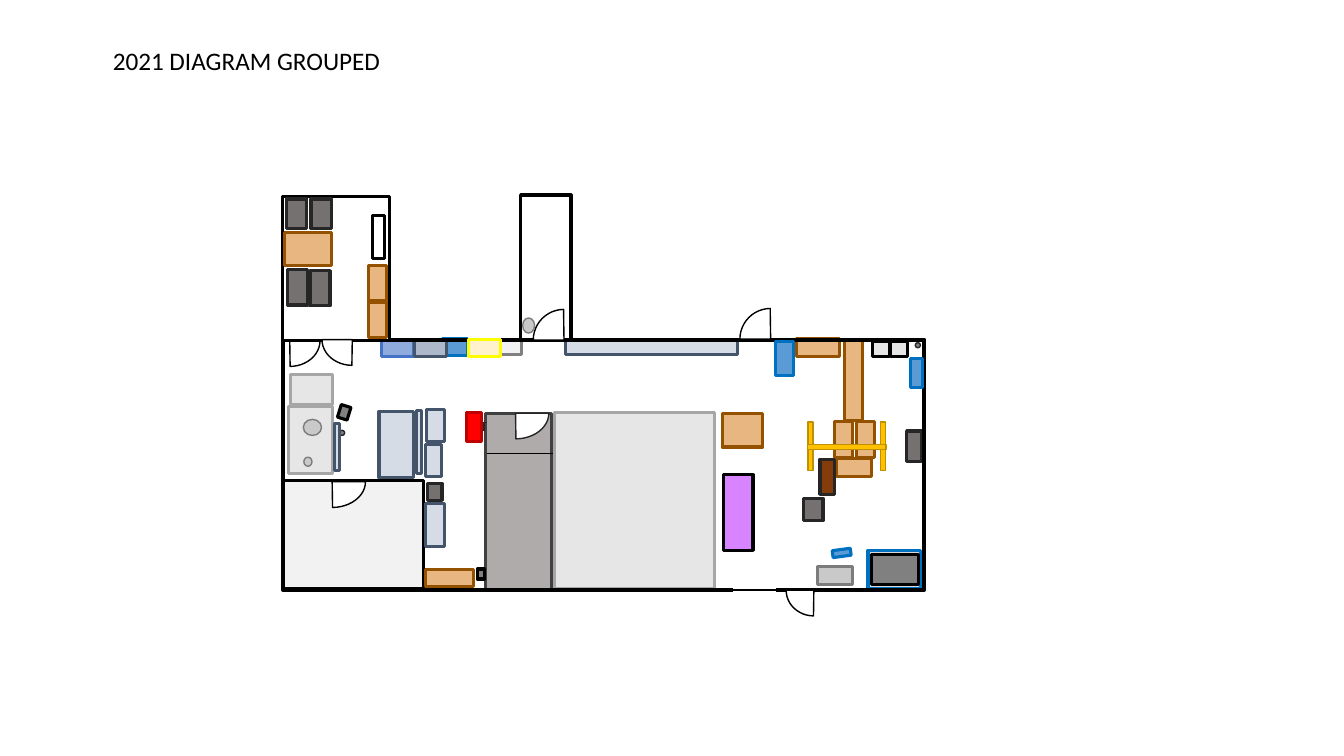
"""Build the 2021 workshop floor plan slide."""
from dataclasses import dataclass
from typing import Optional

from lxml.etree import SubElement
from pptx import Presentation
from pptx.dml.color import RGBColor
from pptx.enum.shapes import MSO_CONNECTOR as Connector, MSO_SHAPE as Form
from pptx.enum.text import MSO_ANCHOR as Anchor, MSO_AUTO_SIZE as AutoSize, PP_ALIGN as Align
from pptx.oxml.ns import qn
from pptx.util import Pt


@dataclass(frozen=True)
class Finish:
    """Fill, outline and outer form of a kind of item."""
    fill: Optional[str]
    line: str
    weight: float = 2.25
    form: Form = Form.RECTANGLE


@dataclass(frozen=True)
class Item:
    """One item on the plan, framed before its turn."""
    finish: Finish
    left: float
    top: float
    width: float
    height: float
    turn: float = 270
    flip: str = ""


@dataclass(frozen=True)
class Stroke:
    """One straight line on the plan."""
    x1: float
    y1: float
    x2: float
    y2: float
    color: str
    weight: float = 1


ROOM = Finish("FFFFFF", "000000")
OFFICE = Finish("F2F2F2", "000000")
STORE = Finish("AFABAB", "404040")
PALE = Finish("E7E6E6", "A6A6A6")
WOOD = Finish("E8B680", "945200")
STEEL = Finish("D6DCE5", "44546A")
DARK_STEEL = Finish("ADB9CA", "44546A")
PERIWINKLE = Finish("8FAADC", "4472C4")
WHITE_UNIT = Finish("F2F2F2", "808080")
BLUE = Finish("5B9BD5", "0070C0")
SILVER = Finish("C9C9C9", "7C7C7C")
PURPLE = Finish("D883FF", "000000")
BIN = Finish("E7E6E6", "000000")
SEAT = Finish("767171", "262626")
BLUE_BASE = Finish("D9D9D9", "0070C0")
MACHINE = Finish("808080", "000000")
OUTER_WALL = Finish(None, "000000", 3)
FRAME = Finish(None, "000000")
HOIST = Finish("FFC000", "BF9000", 1)
BROWN = Finish("843C0B", "262626")
RED = Finish("FF0000", "C00000")
YELLOW = Finish("FFF2CC", "FFFF00")
DOOR = Finish("FFFFFF", "000000", 1, Form.PIE)
STORE_DOOR = Finish("FFFFFF", "262626", 1, Form.PIE)
KNOB = Finish("808080", "262626", 1, Form.OVAL)
BASIN = Finish("C9C9C9", "7C7C7C", 1, Form.OVAL)

DOOR_START, DOOR_END = 108.48, 162

MAIN_HALL = [
    Item(ROOM, 338.4, 172.8, 103, 36),
    Item(OFFICE, 213.8, 331.9, 77, 100.1),
    Item(STORE, 307.4, 334.8, 126, 46.8),
    Item(PALE, 390.2, 300.2, 126, 114.5),
    Item(WOOD, 597.6, 327.6, 25.2, 13, 0),
    Item(WOOD, 580.3, 265, 58.3, 13),
    Item(STEEL, 403.9, 242.6, 123.1, 10.8, 0),
    Item(PERIWINKLE, 272.2, 242.6, 23, 12.2, 0),
    Item(WHITE_UNIT, 352.1, 243.4, 20.2, 10.1, 0),
    Item(BLUE, 316.1, 241.9, 18, 12.2, 0),
    Item(DARK_STEEL, 295.9, 242.6, 23, 12.2, 0),
    Item(WOOD, 303.8, 406.8, 34.6, 12.2, 0),
    Item(WOOD, 568.8, 241.9, 31, 13, 0),
    Item(STEEL, 295.2, 368.6, 31, 13),
    Item(STEEL, 298.1, 323.3, 23, 11.5),
    Item(WOOD, 605.5, 307.4, 25.2, 13),
    Item(WOOD, 589.7, 307.4, 25.2, 13),
    Item(SILVER, 583.9, 404.6, 25.2, 13, 0),
    Item(WOOD, 518.4, 293, 23.8, 28.8),
    Item(PURPLE, 517, 339.1, 20.9, 54, 0),
    Item(BIN, 636.5, 243.4, 10.8, 12.2),
    Item(BIN, 624.2, 243.4, 10.8, 12.2),
    Item(SEAT, 573.1, 357.1, 15.8, 13.7),
    Item(SEAT, 642.2, 313.2, 21.6, 10.8),
    Item(SEAT, 304.6, 346.3, 12.2, 10.1),
    Item(BLUE_BASE, 625, 388.1, 27.4, 37.4),
    Item(MACHINE, 622.8, 396, 33.1, 21.6, 0),
    Item(MACHINE, 339.8, 407.5, 7.2, 5),
    Item(OUTER_WALL, 342, 103, 178.6, 457.9),
    Item(HOIST, 561.6, 316.8, 34.6, 3.6),
    Item(HOIST, 613.4, 316.8, 34.6, 3.6),
    Item(HOIST, 576.7, 317.5, 56.2, 3.6, 0),
    Item(BROWN, 578.2, 335.5, 25.2, 10.1),
    Item(DOOR, 380.9, 221, 43.9, 43.9, flip="flipH"),
    Item(DOOR, 218.9, 320.4, 36.7, 47.5, flip="flipV"),
    Item(STORE_DOOR, 349.9, 271.4, 36.7, 47.5, flip="flipV"),
    Item(PALE, 198, 298.8, 47.5, 31),
    Item(STEEL, 277.2, 313.9, 44.6, 3.6),
    Item(STEEL, 259.2, 305.3, 47.5, 24.5),
    Item(RED, 328.3, 299.5, 20.9, 10.8),
]

STROKES = [
    Stroke(523.4, 420.5, 554.4, 420.5, "FFFFFF", 4.5),
    Stroke(516.2, 421.2, 558.7, 421.2, "000000", 1.5),
    Stroke(347.8, 301.7, 345.6, 301.7, "262626"),
    Stroke(345.6, 308.2, 345.6, 301.7, "262626"),
    Stroke(347.8, 324, 395.3, 324, "000000"),
]

FITTINGS = [
    Item(DOOR, 563, 401.8, 36.7, 39.6),
    Item(KNOB, 653.8, 244.8, 3.6, 3.6),
    Item(MACHINE, 241.2, 290.9, 9.4, 7.2, 287.3),
    Item(KNOB, 242.6, 307.4, 3.6, 3.6),
    Item(BASIN, 217.4, 298.8, 11.5, 13),
    Item(BASIN, 216.7, 326.9, 6.5, 5.8),
    Item(STEEL, 223.9, 317.5, 33.8, 3.6),
    Item(DOOR, 188.6, 221.8, 36.7, 43.2, flip="flipV"),
    Item(ROOM, 188.6, 153.4, 103, 76.3),
    Item(DOOR, 233.3, 221, 36.7, 43.2),
    Item(WOOD, 257, 221.8, 25.2, 13),
    Item(WOOD, 257, 195.8, 25.2, 13),
    Item(WOOD, 208.1, 161.3, 23.8, 33.1),
    Item(SEAT, 200.2, 198, 25.2, 14.4),
    Item(SEAT, 216, 198.7, 25.2, 14.4),
    Item(SEAT, 201.6, 145.4, 20.9, 14.4),
    Item(SEAT, 218.9, 145.4, 20.9, 14.4),
    Item(FRAME, 254.9, 164.9, 31, 8.6),
    Item(BASIN, 372.2, 228.2, 10.8, 8.6),
    Item(PALE, 211.7, 263.5, 21.6, 29.5),
    Item(STEEL, 299.5, 297.4, 23, 13),
    Item(YELLOW, 334.8, 242.6, 23, 12.2, 0),
    Item(BLUE, 547.9, 249.8, 24.5, 13, 90),
    Item(DOOR, 528.5, 220.3, 43.9, 43.9, flip="flipH"),
    Item(BLUE, 644.4, 262.1, 20.2, 8.6, 90),
    Item(BLUE, 594.7, 392.4, 13, 5, 172.3),
]


def paint(color_format, color: str) -> None:
    """Set a colour from its hex string."""
    color_format.rgb = RGBColor.from_string(color)


def draw_item(plan, item: Item) -> None:
    """Add one item to the plan."""
    finish = item.finish
    shape = plan.shapes.add_shape(
        finish.form, Pt(item.left), Pt(item.top), Pt(item.width), Pt(item.height))
    shape.shadow.inherit = False
    shape.rotation = item.turn
    if item.flip:
        shape.element.spPr.find(qn("a:xfrm")).set(item.flip, "1")
    if finish.form == Form.PIE:
        shape.adjustments[0], shape.adjustments[1] = DOOR_START, DOOR_END
    if finish.fill:
        shape.fill.solid()
        paint(shape.fill.fore_color, finish.fill)
    else:
        shape.fill.background()
    paint(shape.line.color, finish.line)
    shape.line.width = Pt(finish.weight)


def draw_stroke(plan, stroke: Stroke) -> None:
    """Add one straight line to the plan."""
    line = plan.shapes.add_connector(
        Connector.STRAIGHT, Pt(stroke.x1), Pt(stroke.y1), Pt(stroke.x2), Pt(stroke.y2))
    paint(line.line.color, stroke.color)
    line.line.width = Pt(stroke.weight)
    SubElement(line.element.spPr, qn("a:effectLst"))


def write_heading(slide) -> None:
    """Place and format the slide title."""
    heading = slide.shapes.title
    heading.left, heading.top, heading.width, heading.height = (
        Pt(73.4), Pt(28.8), Pt(207.4), Pt(28.8))
    frame = heading.text_frame
    frame.text = "2021 DIAGRAM GROUPED"
    frame.word_wrap = False
    frame.auto_size = AutoSize.SHAPE_TO_FIT_TEXT
    frame.vertical_anchor = Anchor.TOP
    line = frame.paragraphs[0]
    line.alignment = Align.LEFT
    line.font.name, line.font.size = "Calibri", Pt(18)
    paint(line.font.color, "000000")


def main() -> None:
    """Build and save the slide."""
    deck = Presentation()
    deck.slide_width, deck.slide_height = Pt(960), Pt(540)
    slide = deck.slides.add_slide(deck.slide_layouts[5])
    write_heading(slide)
    plan = slide.shapes.add_group_shape()
    for item in MAIN_HALL:
        draw_item(plan, item)
    for stroke in STROKES:
        draw_stroke(plan, stroke)
    for item in FITTINGS:
        draw_item(plan, item)
    deck.save("out.pptx")


if __name__ == "__main__":
    main()
